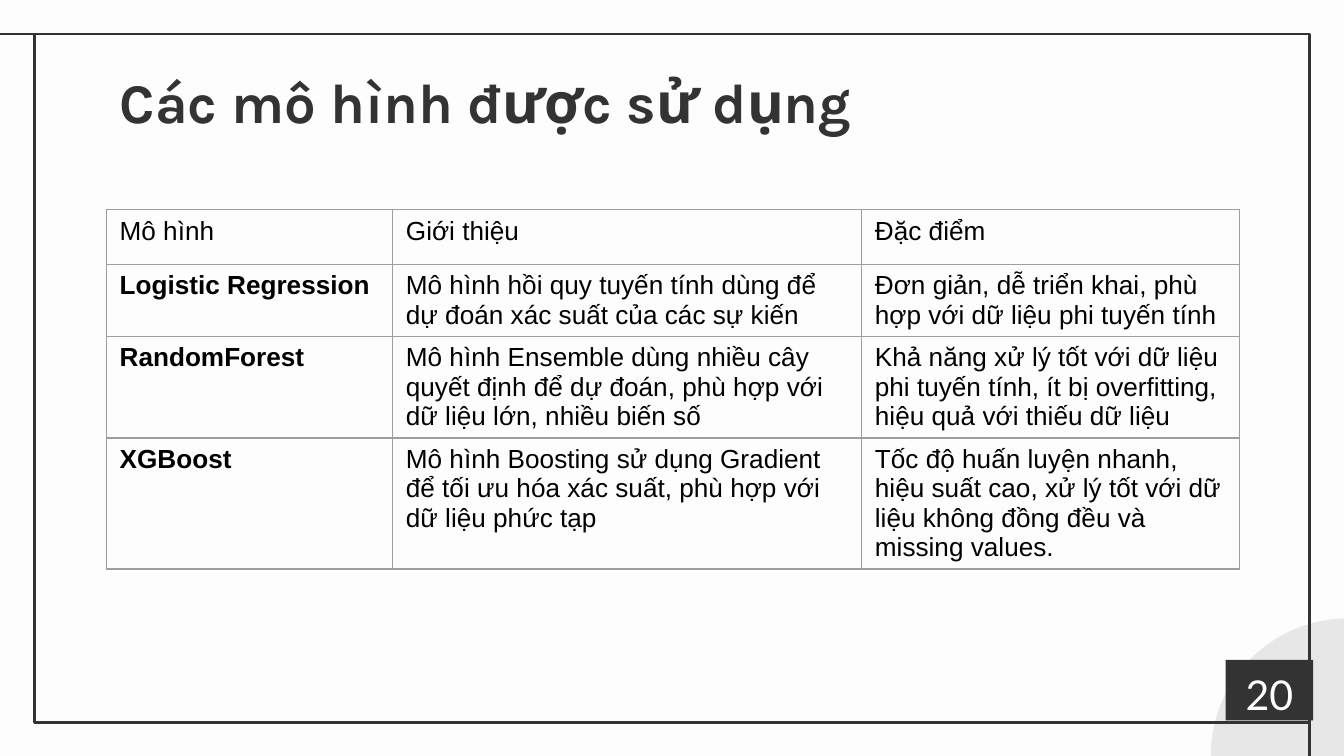
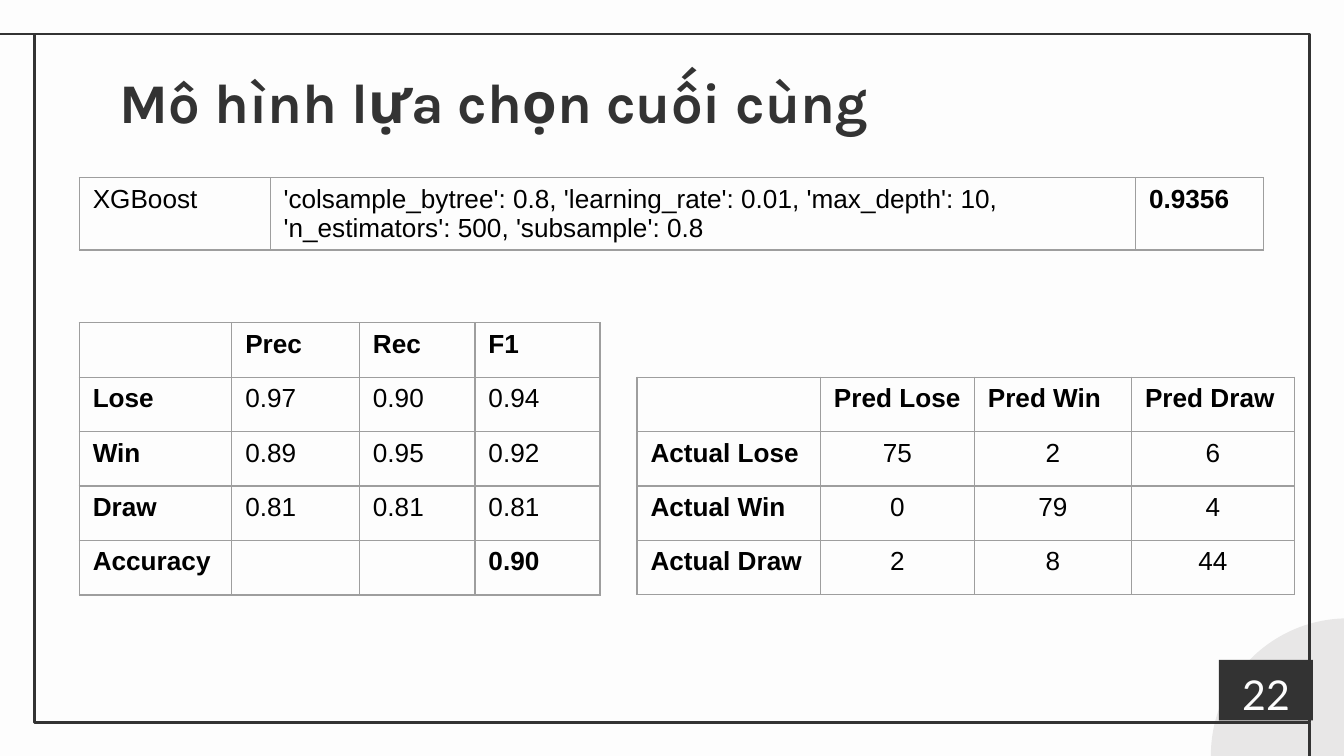
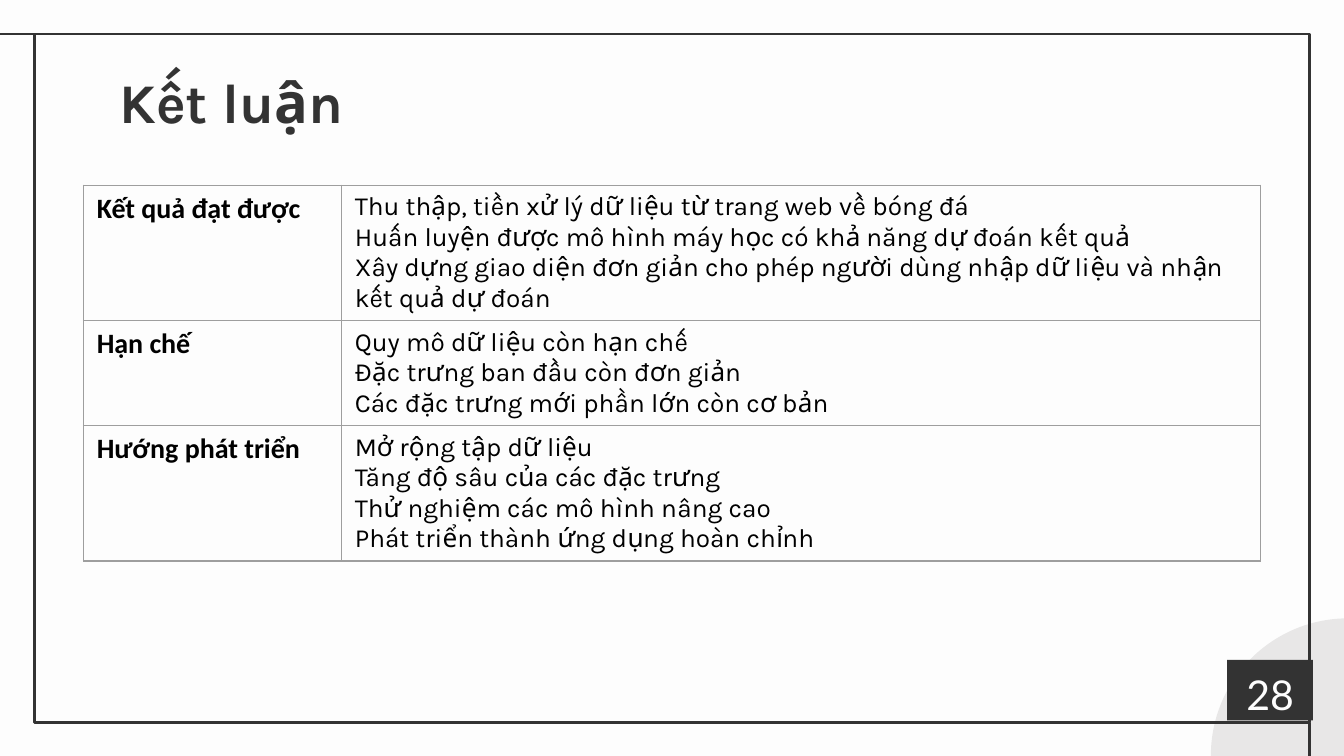
"""Builds three slides on match prediction models: overview, final choice and conclusion."""
from dataclasses import dataclass, replace

from lxml.etree import SubElement
from pptx import Presentation
from pptx.dml.color import RGBColor
from pptx.enum.shapes import MSO_CONNECTOR, MSO_SHAPE
from pptx.enum.text import MSO_ANCHOR, MSO_AUTO_SIZE, PP_ALIGN
from pptx.oxml.ns import qn
from pptx.util import Inches, Pt

SLIDE_WIDTH = Inches(10)
SLIDE_HEIGHT = Inches(5.625)
ROW_HEIGHT = 7.2
BADGE_RIGHT = 97.7
FRAME_LEFT, FRAME_TOP, FRAME_WIDTH, FRAME_HEIGHT = 2.55, 4.5, 94.9, 91.1


@dataclass(frozen=True)
class TextStyle:
    """Character and alignment settings of one kind of text."""
    font: str
    size: float
    color: str
    bold: bool = False
    alignment: PP_ALIGN = PP_ALIGN.LEFT


@dataclass(frozen=True)
class Theme:
    """Colours, line widths and text styles of the deck."""
    paper: str = "FDFDFD"
    ink: str = "333333"
    circle: str = "E8E7E7"
    border: str = "9E9E9E"
    frame_line: float = 1.5
    border_line: float = 0.75
    title: TextStyle = TextStyle("Karla", 30, "333333", True)
    badge: TextStyle = TextStyle("Lato", 22, "FDFDFD", False, PP_ALIGN.CENTER)
    cell: TextStyle = TextStyle("Arial", 14, "000000")
    strong: TextStyle = TextStyle("Arial", 14, "000000", True)
    topic: TextStyle = TextStyle("Calibri", 15, "000000", True)
    finding: TextStyle = TextStyle("Karla", 14, "000000")


THEME = Theme()


def across(share):
    """Turn a percentage of the slide's width into a length."""
    return round(SLIDE_WIDTH * share / 100)


def down(share):
    """Turn a percentage of the slide's height into a length."""
    return round(SLIDE_HEIGHT * share / 100)


def box(left, top, width, height):
    """Turn four percentages into a position and a size."""
    return across(left), down(top), across(width), down(height)


def color(value):
    """Read a hexadecimal colour."""
    return RGBColor.from_string(value)


def write(text_frame, text, style):
    """Write each line of the text as a paragraph in the given style."""
    for index, line in enumerate(text.split("\n")):
        paragraph = text_frame.add_paragraph() if index else text_frame.paragraphs[0]
        paragraph.alignment = style.alignment
        run = paragraph.add_run()
        run.text = line
        run.font.name = style.font
        run.font.size = Pt(style.size)
        run.font.bold = style.bold
        run.font.color.rgb = color(style.color)


def set_insets(text_frame):
    """Give a text frame equal margins on all sides."""
    text_frame.margin_left = text_frame.margin_right = Inches(0.1)
    text_frame.margin_top = text_frame.margin_bottom = Inches(0.1)


def add_block(slide, preset, place, fill=None, line=None):
    """Add a flat preset shape with an optional fill and outline."""
    shape = slide.shapes.add_shape(preset, *box(*place))
    shape.shadow.inherit = False
    if fill:
        shape.fill.solid()
        shape.fill.fore_color.rgb = color(fill)
    else:
        shape.fill.background()
    if line:
        shape.line.color.rgb = color(line)
        shape.line.width = Pt(THEME.frame_line)
    else:
        shape.line.fill.background()
    return shape


def add_line(slide, start, end):
    """Add a straight line in the colour of the frame."""
    connector = slide.shapes.add_connector(
        MSO_CONNECTOR.STRAIGHT, across(start[0]), down(start[1]), across(end[0]), down(end[1]))
    connector.line.color.rgb = color(THEME.ink)
    connector.line.width = Pt(THEME.frame_line)
    SubElement(connector.element.spPr, qn("a:effectLst"))
    return connector


def decorate_layout(layout, slide):
    """Draw the shared circle and frame and move them to the layout."""
    layout.background.fill.solid()
    layout.background.fill.fore_color.rgb = color(THEME.paper)
    for placeholder in list(layout.placeholders)[1:]:
        layout.shapes.element.remove(placeholder.element)
    right, bottom = FRAME_LEFT + FRAME_WIDTH, FRAME_TOP + FRAME_HEIGHT
    decorations = (
        add_block(slide, MSO_SHAPE.OVAL, (90.1, 81.8, 20.4, 36.27), fill=THEME.circle),
        add_block(slide, MSO_SHAPE.RECTANGLE,
                  (FRAME_LEFT, FRAME_TOP, FRAME_WIDTH, FRAME_HEIGHT), line=THEME.ink),
        add_line(slide, (FRAME_LEFT, FRAME_TOP), (0, FRAME_TOP)),
        add_line(slide, (right, bottom), (right, 100)),
    )
    for shape in decorations:
        layout.shapes.element.append(shape.element)


def set_title(slide, text):
    """Place and fill the title placeholder."""
    title = slide.shapes.title
    title.left, title.top, title.width, title.height = box(7.9, 7.1, 84.3, 11.2)
    text_frame = title.text_frame
    text_frame.auto_size = MSO_AUTO_SIZE.NONE
    text_frame.vertical_anchor = MSO_ANCHOR.TOP
    set_insets(text_frame)
    write(text_frame, text, THEME.title)


def add_badge(slide, number, width):
    """Add the dark page number box that ends at the frame."""
    badge = add_block(slide, MSO_SHAPE.RECTANGLE,
                      (BADGE_RIGHT - width, 87.3, width, 8), fill=THEME.ink)
    text_frame = badge.text_frame
    text_frame.vertical_anchor = MSO_ANCHOR.MIDDLE
    set_insets(text_frame)
    write(text_frame, number, THEME.badge)
    text_frame.paragraphs[0].line_spacing = 1.15


def outline_cell(cell):
    """Draw the four borders of a cell and leave it unfilled."""
    properties = cell._tc.get_or_add_tcPr()
    for side in ("L", "R", "T", "B"):
        edge = SubElement(properties, qn(f"a:ln{side}"), w=str(Pt(THEME.border_line)))
        fill = SubElement(edge, qn("a:solidFill"))
        SubElement(fill, qn("a:srgbClr"), val=THEME.border)
    cell.fill.background()


def add_grid(slide, left, top, height, columns, rows, style_of):
    """Add a bordered table whose cells are styled by row and column."""
    graphic_frame = slide.shapes.add_table(
        len(rows), len(columns), *box(left, top, sum(columns), height))
    table = graphic_frame.table
    table.first_row = table.horz_banding = False
    for column, width in zip(table.columns, columns):
        column.width = across(width)
    for row_index, texts in enumerate(rows):
        table.rows[row_index].height = down(ROW_HEIGHT)
        for column_index, text in enumerate(texts):
            cell = table.cell(row_index, column_index)
            outline_cell(cell)
            if text:
                write(cell.text_frame, text, style_of(row_index, column_index))
    graphic_frame.height = down(height)


def model_style(row, column):
    """Make the model names below the header bold."""
    return THEME.strong if row and not column else THEME.cell


def parameter_style(row, column):
    """Make the score in the last column bold."""
    return THEME.strong if column == 2 else THEME.cell


def score_style(row, column):
    """Make the headings and the accuracy row bold."""
    return THEME.strong if row in (0, 4) or column == 0 else THEME.cell


def confusion_style(row, column):
    """Make the headings bold and centre the counts."""
    if row and column:
        return replace(THEME.cell, alignment=PP_ALIGN.CENTER)
    return THEME.strong


def conclusion_style(row, column):
    """Tell the topics from their findings."""
    return THEME.finding if column else THEME.topic


def fill_models(slide):
    """Compare the models in use."""
    add_grid(slide, 7.9, 27.75, 50, (21.3, 34.9, 28.1), (
        ("Mô hình", "Giới thiệu", "Đặc điểm"),
        ("Logistic Regression",
         "Mô hình hồi quy tuyến tính dùng để dự đoán xác suất của các sự kiến",
         "Đơn giản, dễ triển khai, phù hợp với dữ liệu phi tuyến tính"),
        ("RandomForest",
         "Mô hình Ensemble dùng nhiều cây quyết định để dự đoán, "
         "phù hợp với dữ liệu lớn, nhiều biến số",
         "Khả năng xử lý tốt với dữ liệu phi tuyến tính, ít bị overfitting, "
         "hiệu quả với thiếu dữ liệu"),
        ("XGBoost",
         "Mô hình Boosting sử dụng Gradient để tối ưu hóa xác suất, "
         "phù hợp với dữ liệu phức tạp",
         "Tốc độ huấn luyện nhanh, hiệu suất cao, xử lý tốt với dữ liệu "
         "không đồng đều và missing values."),
    ), model_style)


def fill_final_model(slide):
    """Show the chosen parameters, the scores and the confusion matrix."""
    left, scores_top = 5.9, 42.7
    add_grid(slide, left, 23.5, 10.1, (14.2, 64.4, 9.5), (
        ("XGBoost",
         "'colsample_bytree': 0.8, 'learning_rate': 0.01, 'max_depth': 10, "
         "'n_estimators': 500, 'subsample': 0.8",
         "0.9356"),
    ), parameter_style)
    add_grid(slide, left, scores_top, 5 * ROW_HEIGHT, (11.35, 9.5, 8.6, 9.3), (
        ("", "Prec", "Rec", "F1"),
        ("Lose", "0.97", "0.90", "0.94"),
        ("Win", "0.89", "0.95", "0.92"),
        ("Draw", "0.81", "0.81", "0.81"),
        ("Accuracy", "", "", "0.90"),
    ), score_style)
    add_grid(slide, 47.4, scores_top + ROW_HEIGHT, 4 * ROW_HEIGHT, (13.65, 11.45, 11.7, 12.1), (
        ("", "Pred Lose", "Pred Win", "Pred Draw"),
        ("Actual Lose", "75", "2", "6"),
        ("Actual Win", "0", "79", "4"),
        ("Actual Draw", "2", "8", "44"),
    ), confusion_style)


def fill_conclusion(slide):
    """List results, limits and next steps."""
    add_grid(slide, 6.2, 24.5, 51, (19.2, 68.4), (
        ("Kết quả đạt được",
         "Thu thập, tiền xử lý dữ liệu từ trang web về bóng đá\n"
         "Huấn luyện được mô hình máy học có khả năng dự đoán kết quả\n"
         "Xây dựng giao diện đơn giản cho phép người dùng nhập dữ liệu và nhận kết quả dự đoán"),
        ("Hạn chế",
         "Quy mô dữ liệu còn hạn chế\n"
         "Đặc trưng ban đầu còn đơn giản\n"
         "Các đặc trưng mới phần lớn còn cơ bản"),
        ("Hướng phát triển",
         "Mở rộng tập dữ liệu\n"
         "Tăng độ sâu của các đặc trưng\n"
         "Thử nghiệm các mô hình nâng cao\n"
         "Phát triển thành ứng dụng hoàn chỉnh"),
    ), conclusion_style)


def main():
    """Build and save the presentation."""
    presentation = Presentation()
    presentation.slide_width = SLIDE_WIDTH
    presentation.slide_height = SLIDE_HEIGHT
    layout = presentation.slide_layouts.get_by_name("Title Only")
    pages = (
        ("Các mô hình được sử dụng", "20", 6.5, fill_models),
        ("Mô hình lựa chọn cuối cùng", "22", 7, fill_final_model),
        ("Kết luận", "28", 6.4, fill_conclusion),
    )
    for index, (title, number, badge_width, fill_content) in enumerate(pages):
        slide = presentation.slides.add_slide(layout)
        if index == 0:
            decorate_layout(layout, slide)
        set_title(slide, title)
        add_badge(slide, number, badge_width)
        fill_content(slide)
    presentation.save("out.pptx")


if __name__ == "__main__":
    main()
